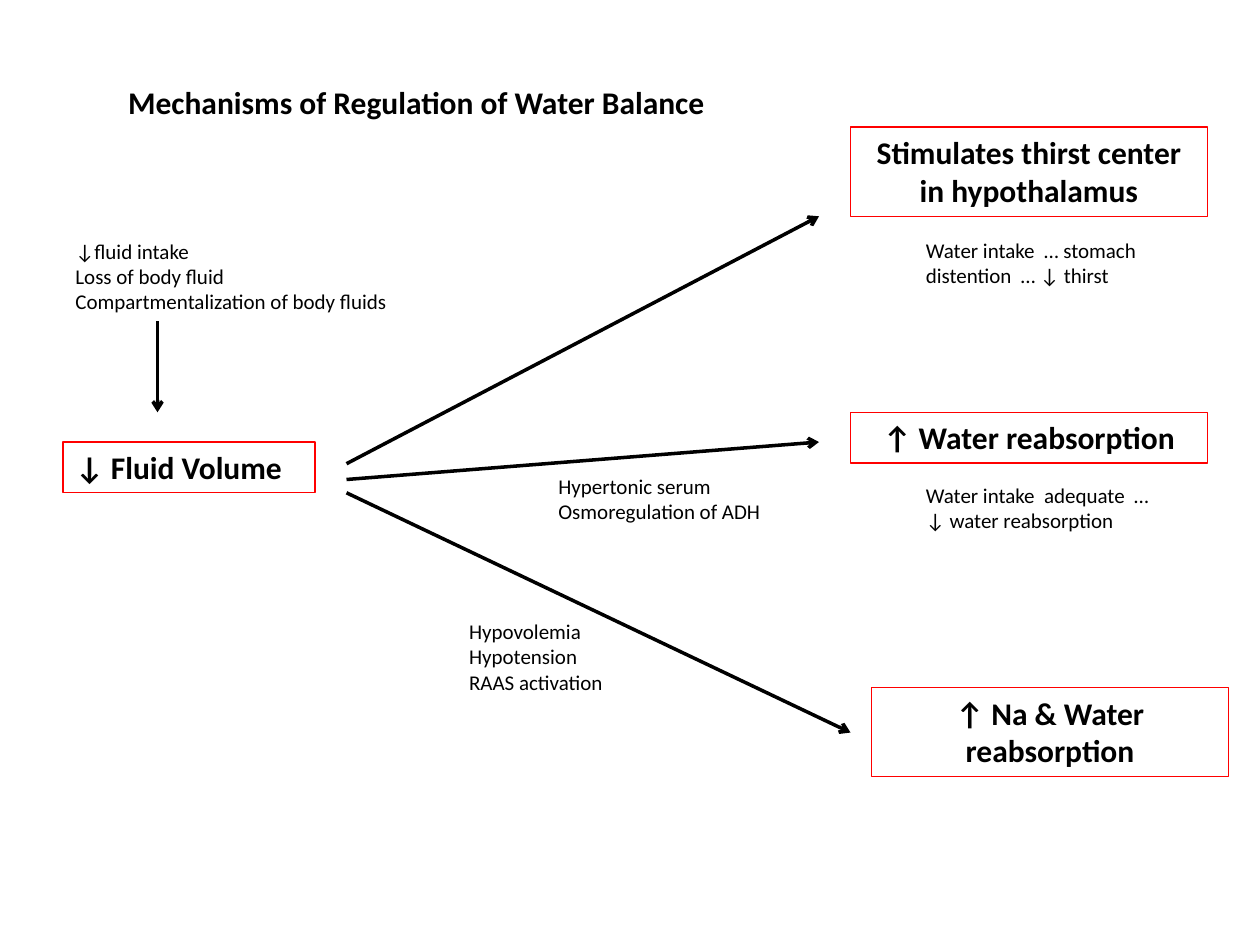
from lxml.etree import SubElement
from pptx import Presentation
from pptx.dml.color import RGBColor
from pptx.enum.shapes import MSO_CONNECTOR, MSO_SHAPE
from pptx.enum.text import MSO_ANCHOR, MSO_AUTO_SIZE, PP_ALIGN
from pptx.oxml.ns import qn
from pptx.util import Pt

BLACK = RGBColor(0, 0, 0)
RED = RGBColor(255, 0, 0)
FONT = "Calibri"
HEADING_SIZE, NOTE_SIZE = 18, 12
LEFT, CENTER = PP_ALIGN.LEFT, PP_ALIGN.CENTER

# Frames are left, top, width, height in points.
TITLE = ("Mechanisms of Regulation of Water Balance", (66, 44, 360, 29))
BOXES = [
    ("↓ Fluid Volume", (36, 252.6, 144, 29), LEFT),
    ("Stimulates thirst center in hypothalamus", (486, 72.6, 204, 51), CENTER),
    ("↑ Water reabsorption", (486, 235.6, 204, 29), CENTER),
    ("↑ Na & Water reabsorption", (498, 392.8, 204, 51), CENTER),
]
NOTES = [
    (["↓fluid intake", "Loss of body fluid",
      "Compartmentalization of body fluids"], (36, 132.6, 204, 51)),
    (["Hypertonic serum", "Osmoregulation of ADH"], (312, 267, 138, 36)),
    (["Hypovolemia", "Hypotension", "RAAS activation"], (261, 350, 102, 51)),
    (["Water intake  … stomach distention  … ↓ thirst"], (522, 132, 156, 36)),
    (["Water intake  adequate  …  ↓ water reabsorption"], (522, 272, 156, 36)),
]
ARROWS = [  # start, end
    ((90, 183.6), (90, 235.6)),
    ((198, 281.6), (486, 418.6)),
    ((198, 274), (468, 252.6)),
    ((198, 265), (468, 123.6)),
]


def points(values):
    return [Pt(value) for value in values]


def write(shape, lines, size, bold=False, alignment=LEFT):
    frame = shape.text_frame
    frame.word_wrap = True
    frame.auto_size = MSO_AUTO_SIZE.SHAPE_TO_FIT_TEXT
    frame.vertical_anchor = MSO_ANCHOR.TOP
    for index, line in enumerate(lines):
        paragraph = frame.add_paragraph() if index else frame.paragraphs[0]
        paragraph.alignment = alignment
        paragraph.line_spacing = 1.0
        paragraph.space_before = Pt(0)
        run = paragraph.add_run()
        run.text = line
        run.font.name = FONT
        run.font.size = Pt(size)
        run.font.bold = bold
        run.font.color.rgb = BLACK


def add_title(slide, text, frame):
    title = slide.shapes.title
    title.left, title.top, title.width, title.height = points(frame)
    write(title, [text], HEADING_SIZE, bold=True)


def add_box(slide, text, frame, alignment):
    box = slide.shapes.add_shape(MSO_SHAPE.RECTANGLE, *points(frame))
    box.shadow.inherit = False
    box.fill.background()
    box.line.color.rgb = RED
    box.line.width = Pt(0.75)
    write(box, [text], HEADING_SIZE, bold=True, alignment=alignment)


def add_arrow(slide, start, end):
    arrow = slide.shapes.add_connector(MSO_CONNECTOR.STRAIGHT, *points(start + end))
    arrow.line.color.rgb = BLACK
    arrow.line.width = Pt(2)
    SubElement(arrow.line._get_or_add_ln(), qn("a:tailEnd"), type="arrow")
    SubElement(arrow._element.spPr, qn("a:effectLst"))


def main():
    presentation = Presentation()
    presentation.slide_width, presentation.slide_height = Pt(720), Pt(540)
    slide = presentation.slides.add_slide(presentation.slide_layouts[5])
    add_title(slide, *TITLE)
    for text, frame, alignment in BOXES:
        add_box(slide, text, frame, alignment)
    for start, end in ARROWS:
        add_arrow(slide, start, end)
    for lines, frame in NOTES:
        write(slide.shapes.add_textbox(*points(frame)), lines, NOTE_SIZE)
    presentation.save("out.pptx")


if __name__ == "__main__":
    main()
